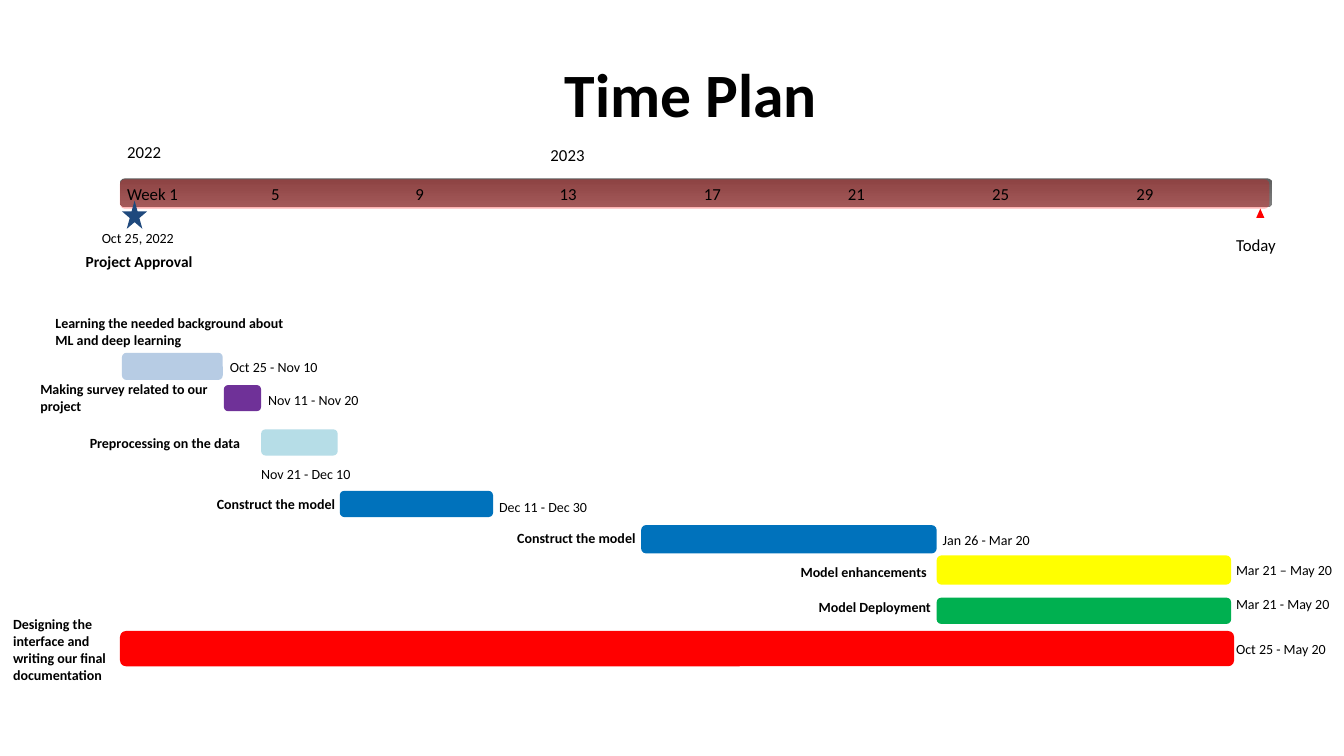
from dataclasses import dataclass

from lxml.etree import SubElement
from pptx import Presentation
from pptx.dml.color import RGBColor
from pptx.enum.shapes import MSO_SHAPE as Preset
from pptx.enum.text import MSO_ANCHOR as Anchor, MSO_AUTO_SIZE as AutoSize, PP_ALIGN as Align
from pptx.oxml.ns import qn
from pptx.util import Inches, Pt


@dataclass(frozen=True)
class Theme:
    font: str = "Calibri"
    ink: str = "000000"
    axis_dark: str = "5E5E5E"
    axis_light: str = "7F7F7F"
    red: str = "FF0000"
    navy: str = "1F497D"
    pale_blue: str = "B7CCE4"
    purple: str = "6F3198"
    aqua: str = "B6DDE7"
    blue: str = "0072BC"
    yellow: str = "FFFF00"
    green: str = "00B050"
    title_size: int = 44
    axis_size: int = 12
    milestone_size: int = 11
    task_size: int = 10


@dataclass(frozen=True)
class Box:
    left: float
    top: float
    width: float
    height: float

    def inner(self, left, top, width, height):
        return Box(self.left + left, self.top + top, width, height)

    def lengths(self):
        return [Inches(v) for v in (self.left, self.top, self.width, self.height)]


@dataclass(frozen=True)
class Task:
    """Bar, label and date places are measured from the corner of the schedule."""
    label: str
    dates: str
    color: str
    bar: tuple
    label_at: tuple
    label_width: float
    dates_at: tuple
    label_lines: int = 1


THEME = Theme()
LINE_HEIGHT = 0.17
DATES_WIDTH = 1.0
WEEK_STEP = 1.43
TASKS = [
    Task("Learning the needed background about ML and deep learning", "Oct 25 - Nov 10",
         THEME.pale_blue, (1.08, 0.4, 1, 0.27), (0.42, 0.02), 2.33, (2.15, 0.46), 2),
    Task("Making survey related to our project", "Nov 11 - Nov 20",
         THEME.purple, (2.09, 0.72, 0.37, 0.26), (0.27, 0.67), 1.97, (2.53, 0.78), 2),
    Task("Preprocessing on the data", "Nov 21 - Dec 10",
         THEME.aqua, (2.46, 1.16, 0.76, 0.26), (0.76, 1.21), 1.65, (2.46, 1.52)),
    Task("Construct the model", "Dec 11 - Dec 30",
         THEME.blue, (3.24, 1.77, 1.52, 0.26), (2.02, 1.81), 1.25, (4.82, 1.84)),
    Task("Construct the model", "Jan 26 - Mar 20",
         THEME.blue, (6.23, 2.11, 2.93, 0.28), (5, 2.15), 1.25, (9.22, 2.17)),
    Task("Model enhancements", "Mar 21 – May 20",
         THEME.yellow, (9.16, 2.41, 2.92, 0.29), (7.81, 2.49), 1.41, (12.13, 2.47)),
    Task("Model Deployment", "Mar 21 - May 20",
         THEME.green, (9.16, 2.83, 2.92, 0.26), (7.99, 2.84), 1.23, (12.13, 2.81)),
    Task("Designing the interface and writing our final documentation", "Oct 25 - May 20",
         THEME.red, (1.06, 3.16, 11.05, 0.35), (0, 3), 1.11, (12.13, 3.25), 4),
]


def write_text(frame, text, size=THEME.task_size, bold=False, align=Align.LEFT,
               margins=(0, 0), spacing=None):
    frame.word_wrap = True
    frame.auto_size = AutoSize.NONE
    frame.vertical_anchor = Anchor.MIDDLE
    frame.margin_left = frame.margin_right = Inches(margins[0])
    frame.margin_top = frame.margin_bottom = Inches(margins[1])
    paragraph = frame.paragraphs[0]
    paragraph.alignment = align
    paragraph.line_spacing = spacing
    run = paragraph.add_run()
    run.text = text
    run.font.name = THEME.font
    run.font.size = Pt(size)
    run.font.bold = bold
    run.font.color.rgb = RGBColor.from_string(THEME.ink)


def add_label(slide, box, text, **text_format):
    write_text(slide.shapes.add_textbox(*box.lengths()).text_frame, text, **text_format)


def add_filled(slide, box, color, preset=Preset.ROUNDED_RECTANGLE):
    shape = slide.shapes.add_shape(preset, *box.lengths())
    shape.shadow.inherit = False
    shape.line.fill.background()
    shape.fill.solid()
    shape.fill.fore_color.rgb = RGBColor.from_string(color)
    return shape


def add_title(slide, box):
    title = slide.shapes.title
    title.left, title.top, title.width, title.height = box.lengths()
    write_text(title.text_frame, "Time Plan", size=THEME.title_size, bold=True,
               align=Align.CENTER, margins=(0.1, 0.05), spacing=0.9)


def add_week_axis(slide, box):
    """Draw the shaded axis, its red elapsed-time veil, the weeks and the years."""
    axis = add_filled(slide, box, THEME.axis_dark)
    axis.fill.gradient()
    axis.fill.gradient_angle = 270
    for stop, color in zip(axis.fill.gradient_stops, (THEME.axis_dark, THEME.axis_light)):
        stop.color.rgb = RGBColor.from_string(color)

    elapsed = add_filled(slide, box.inner(0, 0.01, box.width - 0.03, 0.29), THEME.red)
    red = elapsed.fill._xPr.find(".//" + qn("a:srgbClr"))
    SubElement(red, qn("a:alpha"), val="29000")

    for index, week in enumerate(range(1, 30, 4)):
        text = f"Week {week}" if week == 1 else str(week)
        add_label(slide, box.inner(0.07 + index * WEEK_STEP, 0.06, 0.51, 0.19), text,
                  size=THEME.axis_size)
    for year, left, top in (("2022", 0.07, -0.36), ("2023", 4.27, -0.33)):
        add_label(slide, box.inner(left, top, 0.55, 0.2), year, size=THEME.axis_size)


def add_approval(slide, box):
    add_filled(slide, box.inner(0.36, 0, 0.25, 0.28), THEME.navy, Preset.STAR_5_POINT)
    add_label(slide, box.inner(0, 0.51, box.width, 0.19), "Project Approval",
              size=THEME.milestone_size, bold=True)
    add_label(slide, box.inner(0.16, 0.29, 0.8, LINE_HEIGHT), "Oct 25, 2022")


def add_today(slide, box):
    add_filled(slide, box.inner(0.2, 0, 0.08, 0.09), THEME.red, Preset.ISOSCELES_TRIANGLE)
    add_label(slide, box.inner(0, 0.26, box.width, 0.2), "Today", size=THEME.axis_size)


def add_schedule(slide, box):
    for task in TASKS:
        add_filled(slide, box.inner(*task.bar), task.color)
        label_height = task.label_lines * LINE_HEIGHT
        add_label(slide, box.inner(*task.label_at, task.label_width, label_height),
                  task.label, bold=True)
        add_label(slide, box.inner(*task.dates_at, DATES_WIDTH, LINE_HEIGHT), task.dates)


def main():
    deck = Presentation()
    deck.slide_width, deck.slide_height = Inches(13.33), Inches(7.5)
    slide = deck.slides.add_slide(deck.slide_layouts.get_by_name("Title Only"))
    add_title(slide, Box(2.21, 0.52, 9.29, 0.89))
    add_week_axis(slide, Box(1.19, 1.77, 11.43, 0.28))
    add_approval(slide, Box(0.85, 1.99, 1.1, 0.7))
    add_today(slide, Box(12.26, 2.07, 0.51, 0.46))
    add_schedule(slide, Box(0.13, 3.1, 13.13, 3.67))
    deck.save("out.pptx")


if __name__ == "__main__":
    main()
